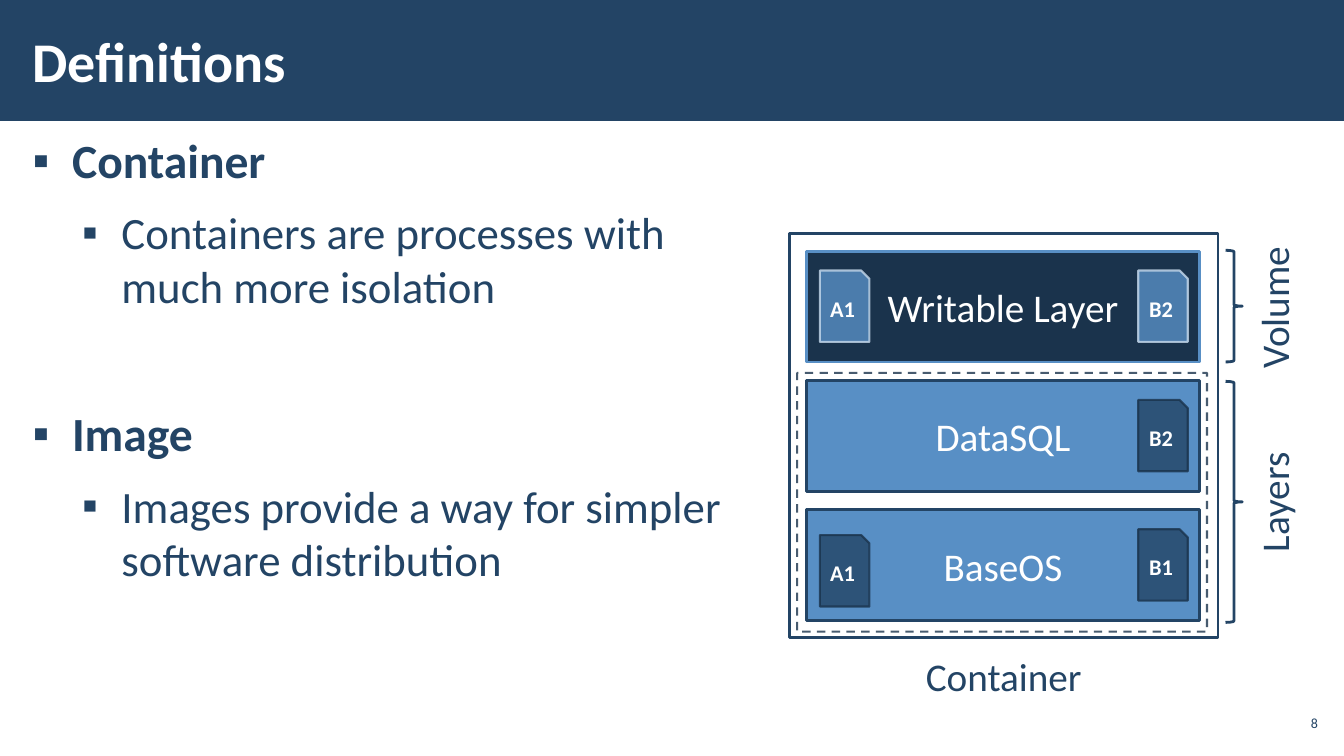
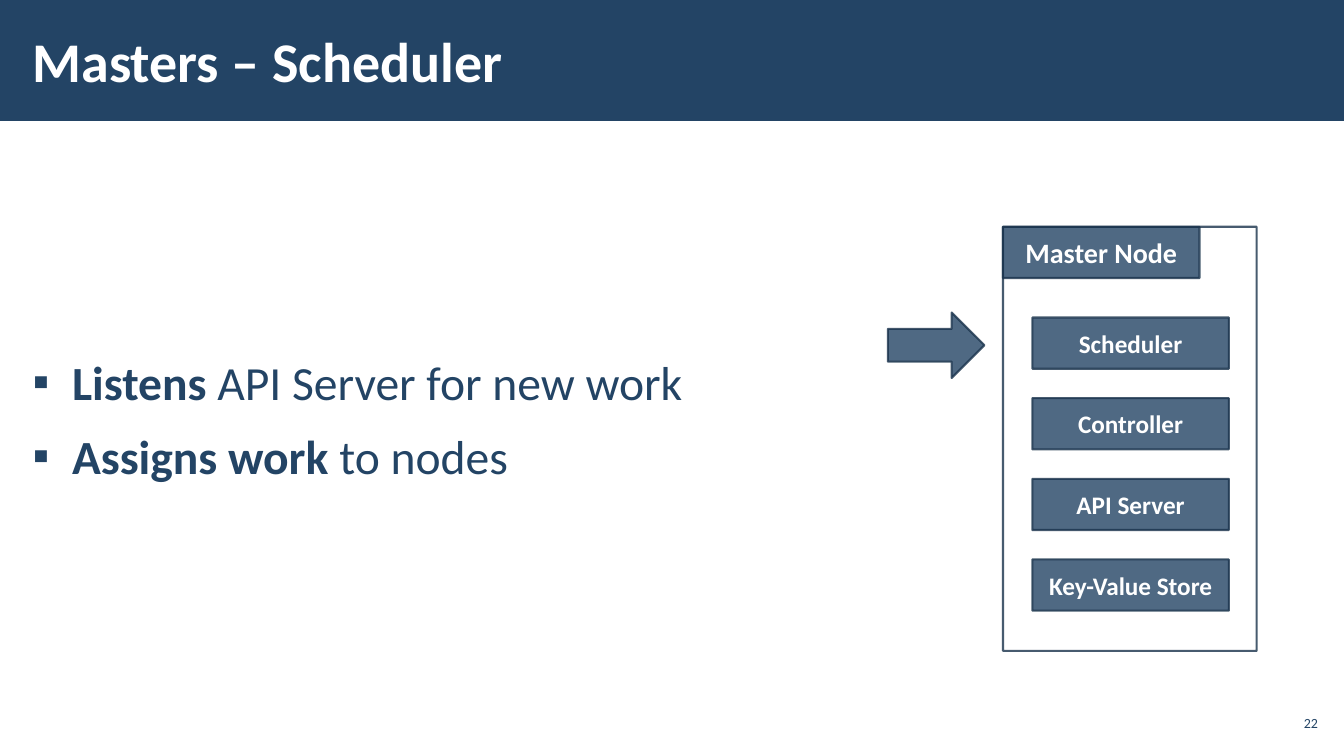
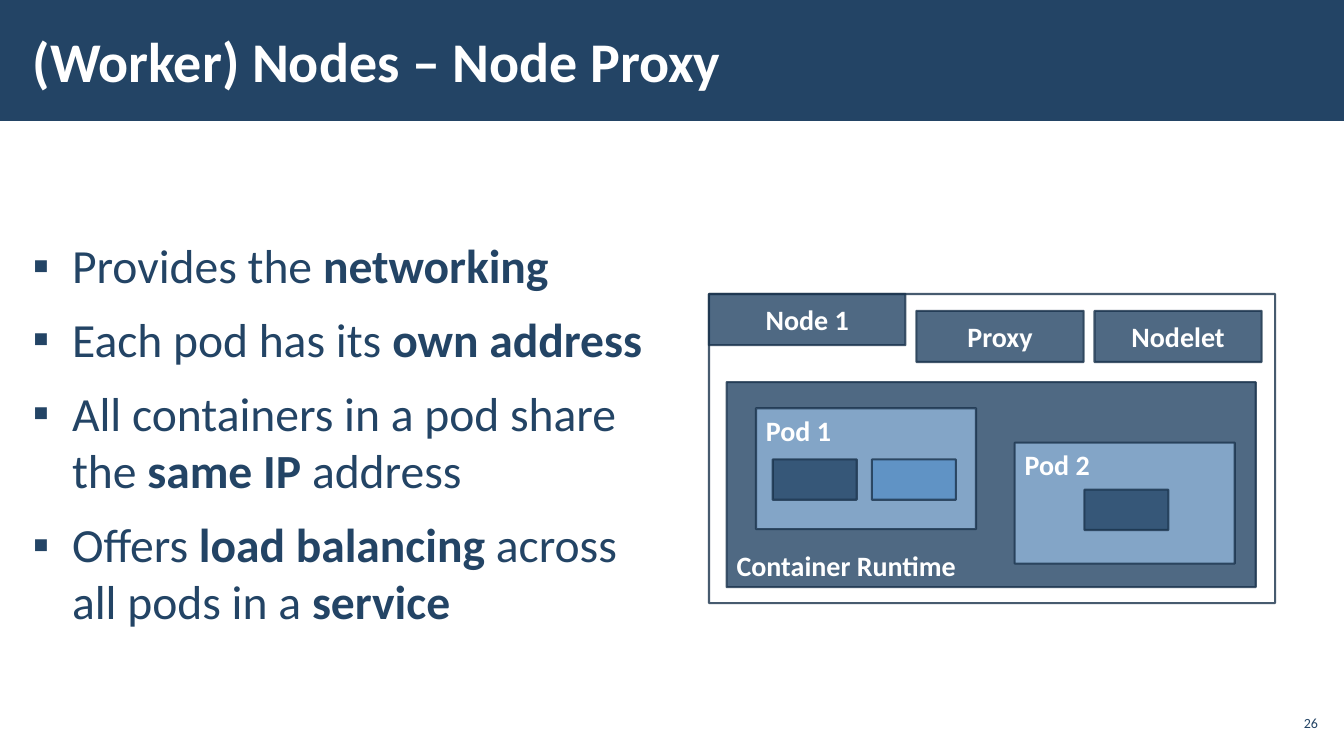
from dataclasses import dataclass

from lxml.etree import SubElement
from pptx import Presentation
from pptx.dml.color import RGBColor
from pptx.enum.dml import MSO_LINE
from pptx.enum.shapes import MSO_SHAPE
from pptx.enum.text import MSO_ANCHOR, MSO_AUTO_SIZE, PP_ALIGN
from pptx.oxml.ns import qn
from pptx.util import Inches, Pt

COLS, ROWS = 160, 90
CELL = Inches(13.33) / COLS


@dataclass(frozen=True)
class Theme:
    font: str = "Calibri"
    navy: str = "234465"
    dark: str = "1A334C"
    blue: str = "588FC5"
    light: str = "90B4D8"
    pale: str = "C7DAEC"
    white: str = "FFFFFF"
    title: int = 40
    body: tuple = (34, 32)
    label: int = 28
    head: int = 20
    item: int = 18
    file: int = 16
    number: int = 10
    thick: float = 2
    thin: float = 1.5


def cells(*counts):
    """Turn grid cells into slide lengths."""
    return [round(n * CELL) for n in counts]


def place(sp, *box):
    sp.left, sp.top, sp.width, sp.height = cells(*box)


def set_insets(tf, x, y):
    tf.margin_left = tf.margin_right = cells(x)[0]
    tf.margin_top = tf.margin_bottom = cells(y)[0]


class Deck:
    def __init__(self, theme):
        self.theme = theme
        self.prs = Presentation()
        self.prs.slide_width, self.prs.slide_height = cells(COLS, ROWS)
        self.layout = self.prs.slide_layouts[1]
        place(self.layout.placeholders[0], 2.5, 1.3, 127.6, 11.6)
        self.slide = None

    def new_slide(self, title, number):
        t = self.theme
        self.slide = self.prs.slides.add_slide(self.layout)
        if len(self.prs.slides) == 1:
            self.add_master_band()
        tf = self.slide.shapes.title.text_frame
        tf.text = title
        tf.auto_size = MSO_AUTO_SIZE.NONE
        tf.vertical_anchor = MSO_ANCHOR.MIDDLE
        set_insets(tf, 1.4, 0.5)
        self.style(tf.paragraphs[0], t.title, t.white, True, PP_ALIGN.LEFT)
        tf = self.label(str(number), 151.8, 84, 5.6, 4.1, t.number, PP_ALIGN.RIGHT).text_frame
        set_insets(tf, 0.5, 0.5)

    def add_master_band(self):
        band = self.shape(0, 0, COLS, 14.4, fill=self.theme.navy)
        self.prs.slide_master.shapes.element.insert(2, band.element)

    def style(self, p, size, color, bold=False, align=None):
        p.alignment = align
        for r in p.runs:
            r.font.name, r.font.size, r.font.bold = self.theme.font, Pt(size), bold
            r.font.color.rgb = RGBColor.from_string(color)

    def bullets(self, box, items):
        """Fill the body from (level, text, extra points above); *stars* mark bold."""
        t = self.theme
        body = self.slide.placeholders[1]
        place(body, *box)
        tf = body.text_frame
        tf.auto_size = MSO_AUTO_SIZE.NONE
        set_insets(tf, 1.4, 0.5)
        for i, (level, text, gap) in enumerate(items):
            p = tf.add_paragraph() if i else tf.paragraphs[0]
            for part in text.split("*"):
                p.add_run().text = part
            self.style(p, t.body[level], t.navy, align=PP_ALIGN.LEFT)
            for r in p.runs[1::2]:
                r.font.bold = True
            for r in p.runs:
                if not r.text:
                    p._p.remove(r._r)
            p.level = level
            p.space_before, p.space_after = Pt(6 + gap), Pt(6)
            pPr = p._p.get_or_add_pPr()
            pPr.set("marL", str(Inches((0.39, 0.88)[level])))
            pPr.set("indent", str(-Inches(0.39)))
            SubElement(pPr, qn("a:buFont")).set("typeface", "Arial")
            SubElement(pPr, qn("a:buChar")).set("char", "▪")

    def shape(self, x, y, w, h, kind=MSO_SHAPE.RECTANGLE, fill=None, line=None,
              width=None, sheer=False, dash=None):
        """Draw a preset shape; sheer makes fill and line 80% opaque."""
        sp = self.slide.shapes.add_shape(kind, *cells(x, y, w, h))
        sp.shadow.inherit = False
        if fill:
            sp.fill.solid()
            sp.fill.fore_color.rgb = RGBColor.from_string(fill)
        else:
            sp.fill.background()
        if line:
            sp.line.color.rgb = RGBColor.from_string(line)
            sp.line.width = Pt(width or self.theme.thick)
            if dash:
                sp.line.dash_style = dash
        else:
            sp.line.fill.background()
        if sheer:
            for color in sp.element.spPr.iter(qn("a:srgbClr")):
                SubElement(color, qn("a:alpha")).set("val", "80000")
        return sp

    def caption(self, sp, text, size, bold=True, align=PP_ALIGN.CENTER,
                anchor=MSO_ANCHOR.MIDDLE):
        tf = sp.text_frame
        tf.text = text
        tf.vertical_anchor = anchor
        self.style(tf.paragraphs[0], size, self.theme.white, bold, align)

    def block(self, x, y, w, h, text="", size=None, fill=None, line=None,
              kind=MSO_SHAPE.RECTANGLE, **text_style):
        """Draw a sheer, thin-lined shape with bold white text."""
        t = self.theme
        sp = self.shape(x, y, w, h, kind, fill or t.navy, line or t.dark, t.thin, sheer=True)
        if text:
            self.caption(sp, text, size or t.head, **text_style)

    def label(self, text, x, y, w, h, size=None, align=PP_ALIGN.CENTER, rotation=0):
        t = self.theme
        sp = self.slide.shapes.add_textbox(*cells(x, y, w, h))
        sp.rotation = rotation
        tf = sp.text_frame
        tf.word_wrap = True
        tf.text = text
        tf.vertical_anchor = MSO_ANCHOR.MIDDLE
        self.style(tf.paragraphs[0], size or t.label, t.navy, align=align)
        return sp

    def layer(self, text, y, fill, line, files, file_fill, file_line):
        """Draw an image layer with its (name, x, offset) files."""
        t = self.theme
        sp = self.shape(96, y, 46.8, 13.2, fill=fill, line=line)
        self.caption(sp, text, t.label, bold=False)
        for name, x, offset in files:
            self.block(x, y + offset, 5.9, 8.5, name, t.file, file_fill, file_line,
                       MSO_SHAPE.SNIP_1_RECTANGLE)

    def node(self, name, x, y, w, h):
        self.block(x, y, w, h, fill=self.theme.white)
        self.block(x, y, 23.4, 6.1, name)

    def pod(self, name, x, y, containers):
        """Draw a pod with its (dx, dy, fill) containers."""
        self.block(x, y, 26.2, 14.4, name, fill=self.theme.light,
                   align=PP_ALIGN.LEFT, anchor=MSO_ANCHOR.TOP)
        for dx, dy, fill in containers:
            self.block(x + dx, y + dy, 10, 4.8, fill=fill)


def definitions(deck):
    t = deck.theme
    deck.new_slide("Definitions", 8)
    deck.bullets((2.5, 15.1, 89.3, 73.1), [
        (0, "*Container*", 0),
        (1, "Containers are processes with much more isolation", 0),
        (0, "*Image*", 53.5),
        (1, "Images provide a way for simpler software distribution", 0),
    ])
    deck.shape(94, 27.8, 51, 48.1, line=t.navy)
    left, right, top, pitch = 97.6, 135.5, 29.9, 15.4
    layers = [
        ("Writable Layer", t.dark, t.blue, [("A1", left, 2.3), ("B2", right, 2.3)], t.blue, t.pale),
        ("DataSQL", t.blue, t.navy, [("B2", right, 2.3)], t.navy, t.dark),
        ("BaseOS", t.blue, t.navy, [("A1", left, 3), ("B1", right, 2.3)], t.navy, t.dark),
    ]
    for i, (text, *look) in enumerate(layers):
        deck.layer(text, top + i * pitch, *look)
    deck.shape(94.9, 44.4, 48.8, 30.8, line=t.dark, width=t.thin, sheer=True, dash=MSO_LINE.DASH)
    deck.label("Container", 94, 77, 51, 6.8)
    for text, y, h, middle in (("Volume", 29.8, 13.3, 36.6), ("Layers", 45.4, 28.7, 59.8)):
        deck.shape(145.9, y, 2, h, MSO_SHAPE.RIGHT_BRACE, line=t.navy)
        deck.label(text, 142.6, middle - 3.5, 18, 7, rotation=270)


def scheduler(deck):
    deck.new_slide("Masters – Scheduler", 22)
    deck.bullets((2.5, 41.5, 83.9, 46.7), [
        (0, "*Listens* API Server for new work", 0),
        (0, "*Assigns work *to nodes", 0),
    ])
    deck.node("Master Node", 119.4, 27, 30.2, 50.5)
    for i, name in enumerate(("Scheduler", "Controller", "API Server", "Key-Value Store")):
        deck.block(122.9, 37.8 + i * 9.6, 23.4, 6.1, name, deck.theme.item)
    deck.block(105.7, 37.2, 11.5, 7.8, kind=MSO_SHAPE.RIGHT_ARROW)


def proxy(deck):
    t = deck.theme
    deck.new_slide("(Worker) Nodes – Node Proxy", 26)
    deck.bullets((2.5, 27.6, 77.5, 60.6), [
        (0, "Provides the *networking*", 0),
        (0, "Each pod has its *own address*", 0),
        (0, "All containers in a pod share the *same IP *address", 0),
        (0, "Offers *load balancing *across all pods in a *service*", 0),
    ])
    deck.node("Node 1", 84.4, 35, 67.4, 36.8)
    for i, name in enumerate(("Proxy", "Nodelet")):
        deck.block(109.1 + i * 21.2, 37, 19.9, 6.1, name)
    deck.block(86.5, 45.5, 63, 24.4, "Container Runtime",
               align=PP_ALIGN.LEFT, anchor=MSO_ANCHOR.BOTTOM)
    deck.pod("Pod 1", 90, 48.6, [(2, 6.1, t.navy), (13.8, 6.1, t.blue)])
    deck.pod("Pod 2", 120.8, 52.7, [(8.3, 5.6, t.navy)])


def main():
    deck = Deck(Theme())
    for build in (definitions, scheduler, proxy):
        build(deck)
    deck.prs.save("out.pptx")


if __name__ == "__main__":
    main()
